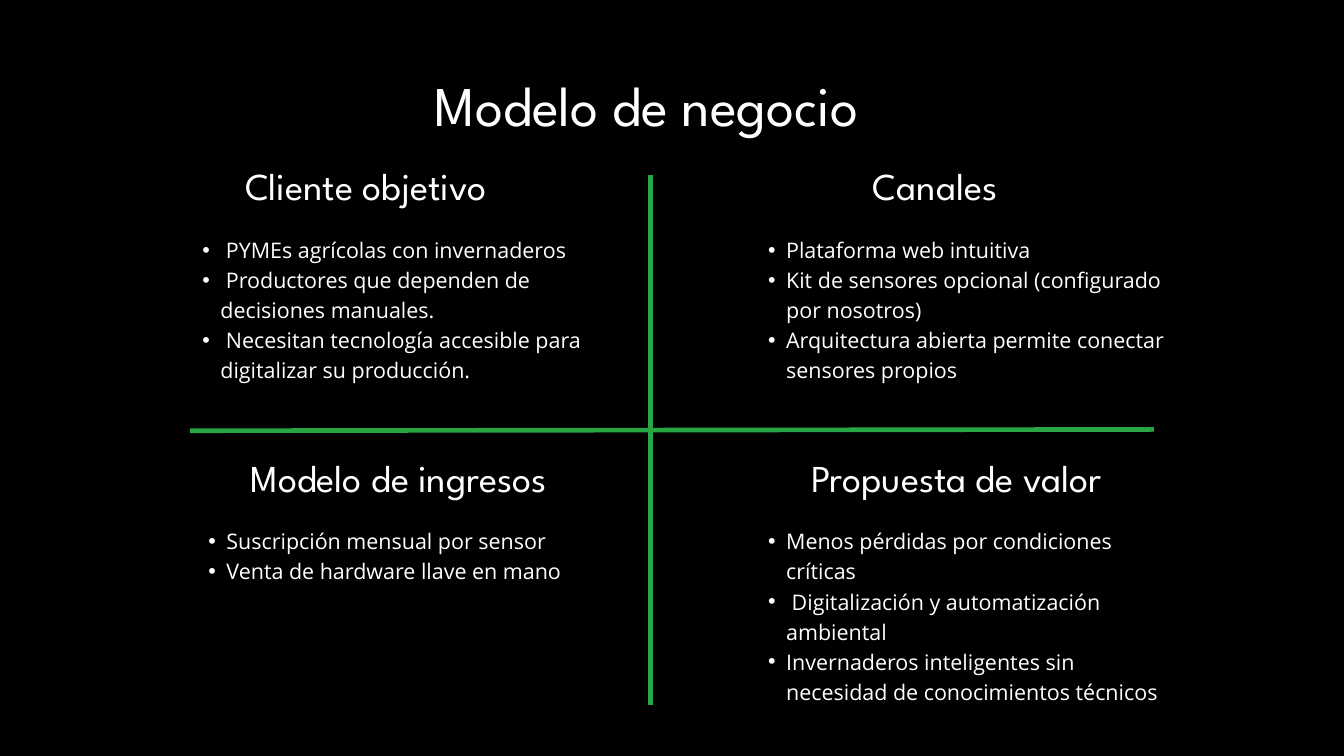
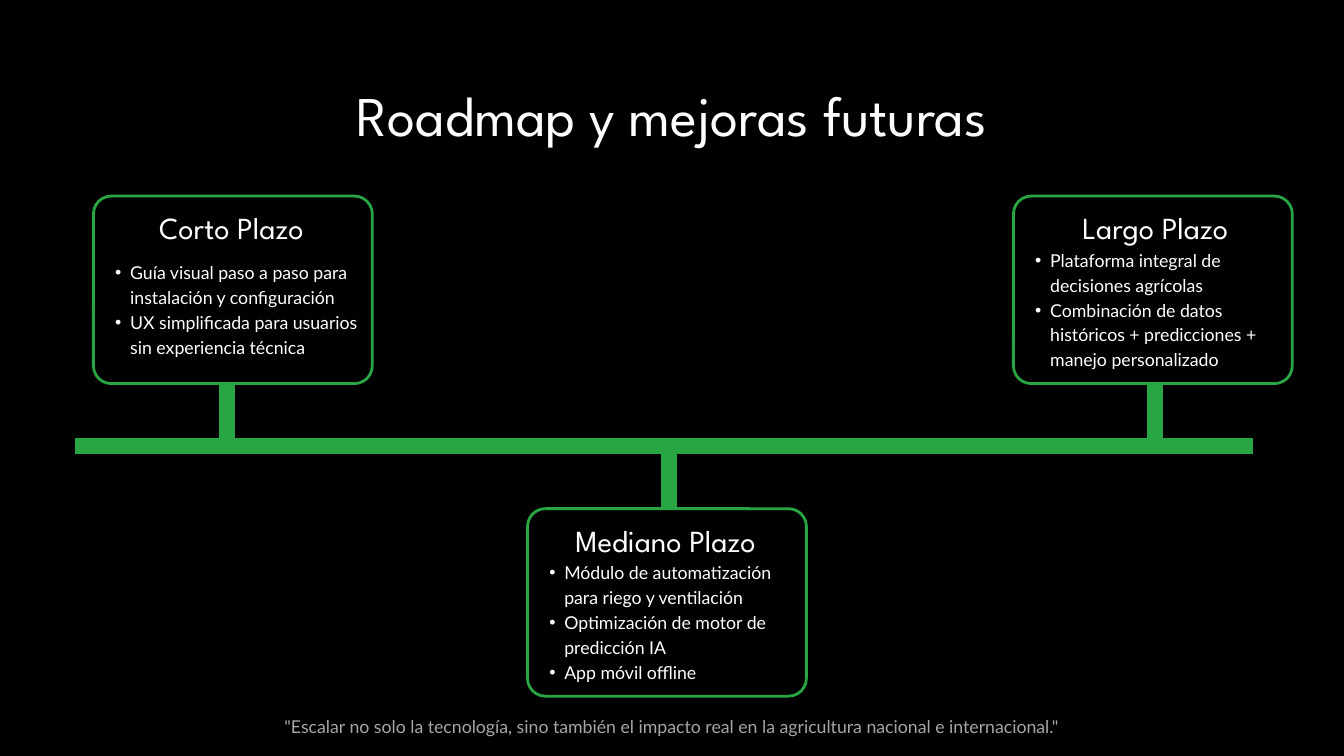
from lxml.etree import SubElement
from pptx import Presentation
from pptx.dml.color import RGBColor
from pptx.enum.shapes import MSO_CONNECTOR, MSO_SHAPE
from pptx.enum.text import PP_ALIGN
from pptx.oxml.ns import qn
from pptx.util import Pt

# Shared look
BLACK = RGBColor(0x00, 0x00, 0x00)
WHITE = RGBColor(0xFF, 0xFF, 0xFF)
GREEN = RGBColor(0x27, 0xA6, 0x43)
GREY = RGBColor(0xA6, 0xA6, 0xA6)
HEADING_FONT = "League Spartan"

# Text styles: font, size, line spacing
TITLE = (HEADING_FONT, 60, 84)
QUADRANT_HEADING = (HEADING_FONT, 40.7, 57)
QUADRANT_BODY = ("Open Sans", 23, 32.2)
CARD_HEADING = (HEADING_FONT, 32.8, 46)
CARD_BODY = ("Lato", 19, 26.6)

# Business model: heading, heading left and width, list left, row, items
QUADRANTS = [
    ("Cliente objetivo", 203.8, 376.6, 197.3, 0, [
        " PYMEs agrícolas con invernaderos",
        " Productores que dependen de decisiones manuales.",
        " Necesitan tecnología accesible para digitalizar su producción."]),
    ("Canales", 813.6, 376.6, 803.5, 0, [
        "Plataforma web intuitiva",
        "Kit de sensores opcional (configurado por nosotros)",
        "Arquitectura abierta permite conectar sensores propios"]),
    ("Modelo de ingresos", 211.7, 430.6, 203.8, 1, [
        "Suscripción mensual por sensor",
        "Venta de hardware llave en mano"]),
    ("Propuesta de valor", 813.6, 422.6, 803.5, 1, [
        "Menos pérdidas por condiciones críticas",
        " Digitalización y automatización ambiental",
        "Invernaderos inteligentes sin necesidad de conocimientos técnicos"]),
]
ROW_TOP, ROW_STEP = 166.3, 312.5
QUADRANT_LIST_DROP, QUADRANT_LIST_WIDTH = 82.8, 445

# Roadmap: heading, card left, stem x, above the axis, list drop, items
STAGES = [
    ("Corto Plazo ", 100.1, 243.4, True, 67, [
        "Guía visual paso a paso para instalación y configuración",
        "UX simplificada para usuarios sin experiencia técnica"]),
    ("Mediano Plazo ", 565.2, 716.4, False, 53.6, [
        "Módulo de automatización para riego y ventilación",
        "Optimización de motor de predicción IA",
        "App móvil offline"]),
    ("Largo Plazo", 1085.8, 1237.7, True, 53.6, [
        "Plataforma integral de decisiones agrícolas",
        "Combinación de datos históricos + predicciones + manejo personalizado"]),
]
QUOTE = ('"Escalar no solo la tecnología, sino también el impacto real '
         'en la agricultura nacional e internacional."')
AXIS_Y, STEM = 478, 67
CARD_WIDTH, CARD_HEIGHT, CARD_RADIUS = 298.8, 200.9, 19.1


def add_text(slide, left, top, width, lines, style, color=WHITE, indent=0):
    """Centred lines, or a bulleted list when an indent is given."""
    font_name, size, spacing = style
    box = slide.shapes.add_textbox(Pt(left), Pt(top), Pt(width), Pt(spacing * len(lines)))
    frame = box.text_frame
    frame.word_wrap = True
    frame.margin_left = frame.margin_right = frame.margin_top = frame.margin_bottom = 0
    for i, line in enumerate(lines):
        paragraph = frame.add_paragraph() if i else frame.paragraphs[0]
        if indent:
            paragraph.level = 1
            props = paragraph._p.get_or_add_pPr()
            props.set("marL", str(Pt(2 * indent)))
            props.set("indent", str(-Pt(indent)))
            SubElement(props, qn("a:buFont")).set("typeface", "Arial")
            SubElement(props, qn("a:buChar")).set("char", "•")
        else:
            paragraph.alignment = PP_ALIGN.CENTER
        paragraph.line_spacing = Pt(spacing)
        run = paragraph.add_run()
        run.text = line
        run.font.name = font_name
        run.font.size = Pt(size)
        run.font.color.rgb = color


def add_line(slide, x1, y1, x2, y2, weight):
    line = slide.shapes.add_connector(
        MSO_CONNECTOR.STRAIGHT, Pt(x1), Pt(y1), Pt(x2), Pt(y2))
    line.line.color.rgb = GREEN
    line.line.width = Pt(weight)
    SubElement(line._element.spPr, qn("a:effectLst"))


def add_card(slide, left, top):
    card = slide.shapes.add_shape(
        MSO_SHAPE.ROUNDED_RECTANGLE, Pt(left), Pt(top), Pt(CARD_WIDTH), Pt(CARD_HEIGHT))
    card.adjustments[0] = CARD_RADIUS / CARD_HEIGHT
    card.shadow.inherit = False
    card.fill.background()
    card.line.color.rgb = GREEN
    card.line.width = Pt(3)


def add_slide(deck, title, left, top, width):
    slide = deck.slides.add_slide(deck.slide_layouts[6])
    slide.background.fill.solid()
    slide.background.fill.fore_color.rgb = BLACK
    add_text(slide, left, top, width, [title], TITLE)
    return slide


def build_business_model(deck):
    slide = add_slide(deck, "Modelo de negocio", 54, 64, 1277.3)
    # Cross
    add_line(slide, 203.8, 461.5, 1236.2, 460.1, 5)
    add_line(slide, 697, 755.3, 697, 187.2, 5)
    # Quadrants
    for heading, left, width, list_left, row, items in QUADRANTS:
        top = ROW_TOP + row * ROW_STEP
        add_text(slide, left, top, width, [heading], QUADRANT_HEADING)
        add_text(slide, list_left, top + QUADRANT_LIST_DROP, QUADRANT_LIST_WIDTH,
                 items, QUADRANT_BODY, indent=19.4)


def build_roadmap(deck):
    slide = add_slide(deck, "Roadmap y mejoras futuras", 126.7, 74.2, 1186.6)
    # Time axis
    add_line(slide, 80.6, AXIS_Y, 1342, AXIS_Y, 17)
    # Stages
    for heading, left, stem_x, above, list_drop, items in STAGES:
        stem_end = AXIS_Y - STEM if above else AXIS_Y + STEM
        top = stem_end - CARD_HEIGHT if above else stem_end
        add_line(slide, stem_x, AXIS_Y, stem_x, stem_end, 17)
        add_card(slide, left, top)
        add_text(slide, left, top + 7.5, 303.8, [heading], CARD_HEADING)
        add_text(slide, left + 7.2, top + list_drop, 289.4, items, CARD_BODY, indent=16.1)
    # Closing quote
    add_text(slide, 303.8, 763.2, 831.6, [QUOTE], CARD_BODY, GREY)


def main():
    deck = Presentation()
    deck.slide_width, deck.slide_height = Pt(1440), Pt(810)
    build_business_model(deck)
    build_roadmap(deck)
    deck.save("out.pptx")


if __name__ == "__main__":
    main()
